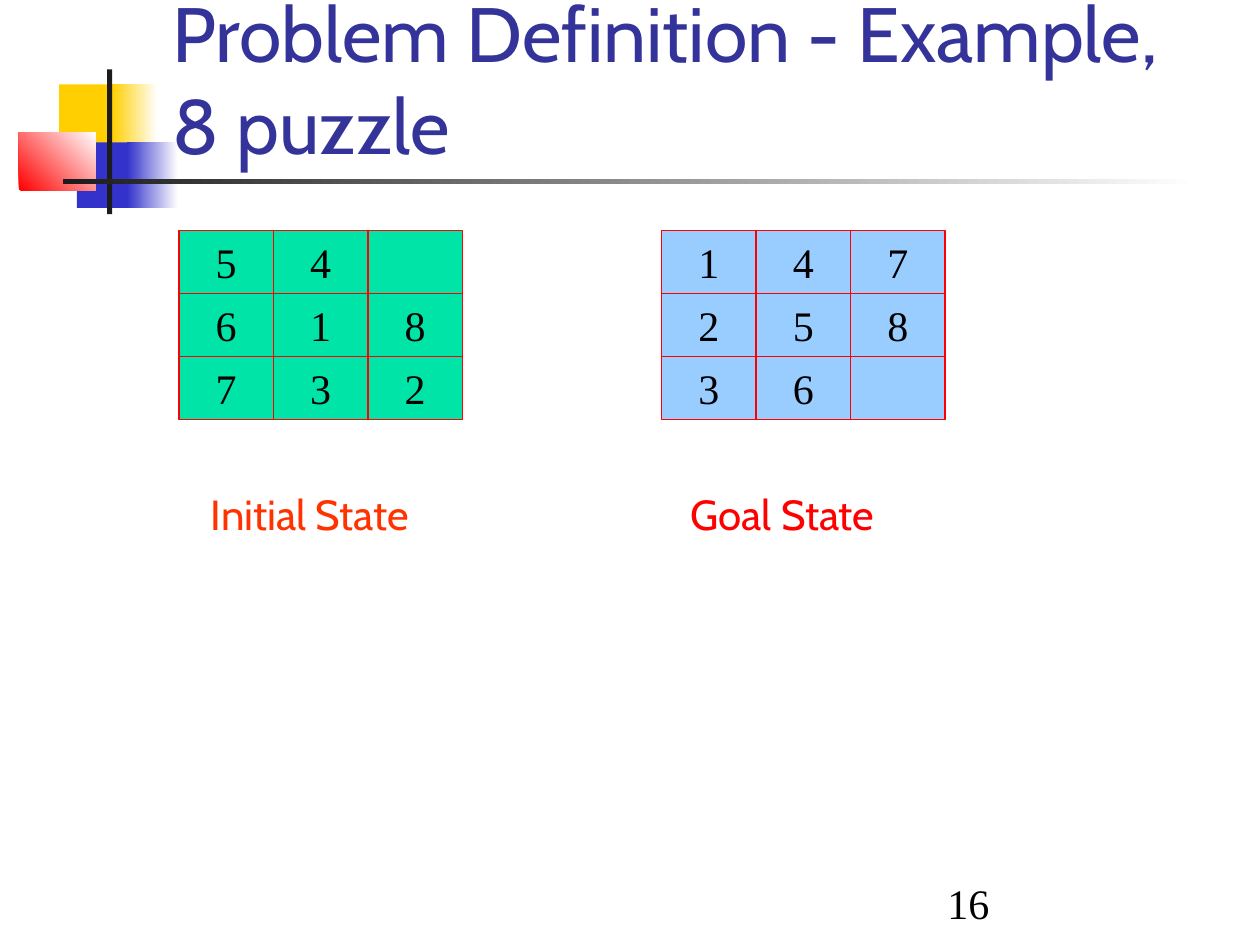
from dataclasses import dataclass
from typing import Optional

from pptx import Presentation
from pptx.dml.color import RGBColor
from pptx.enum import shapes, text
from pptx.util import Inches, Pt

TILE_W, TILE_H = 0.75, 0.5
SERIF, SANS = "Times New Roman", "Cabin"
LEFT, CENTER = text.PP_ALIGN.LEFT, text.PP_ALIGN.CENTER
TOP, BOTTOM = text.MSO_ANCHOR.TOP, text.MSO_ANCHOR.BOTTOM


@dataclass
class Bar:
    left: float
    top: float
    width: float
    height: float
    color: str
    fade_angle: Optional[int] = None  # fades to white in this direction


@dataclass
class Label:
    left: float
    top: float
    width: float
    height: float
    words: str
    size: int
    font: str
    color: str
    align: text.PP_ALIGN = LEFT
    anchor: text.MSO_ANCHOR = TOP


@dataclass
class Puzzle:
    left: float
    top: float
    color: str
    rows: tuple[str, ...]


BARS = [
    Bar(0.47, 0.67, 0.48, 0.52, "FFCF01"),
    Bar(0.89, 0.67, 0.36, 0.52, "FFCF01", 0),
    Bar(0.61, 1.13, 0.46, 0.52, "3333CC"),
    Bar(1.01, 1.13, 0.4, 0.52, "3333CC", 0),
    Bar(0.15, 1.05, 0.61, 0.46, "FF0000", 45),
    Bar(0.85, 0.55, 0.04, 1.15, "1C1C1C"),
    Bar(0.5, 1.42, 9, 0.04, "1C1C1C", 0),
]
PUZZLES = [
    Puzzle(1.42, 1.83, "00E4A8", ("54 ", "618", "732")),
    Puzzle(5.25, 1.83, "99CCFF", ("147", "258", "36 ")),
]
LABELS = [
    Label(1.27, -0.17, 8.52, 1.57, "Problem Definition - Example, 8 puzzle",
          44, SANS, "333399", anchor=BOTTOM),
    Label(1.17, 3.83, 2.58, 0.5, "Initial State", 24, SANS, "FF3300", CENTER),
    Label(4.92, 3.83, 2.58, 0.5, "Goal State", 24, SANS, "FF0000", CENTER),
    Label(7.42, 6.91, 2.08, 0.5, "16", 24, SERIF, "000000", anchor=BOTTOM),
]


def rgb(color: str) -> RGBColor:
    return RGBColor.from_string(color)


def set_text(sp, words: str, size: int, font: str, color: str, align, anchor) -> None:
    tf = sp.text_frame
    tf.text = words
    tf.word_wrap = True
    tf.vertical_anchor = anchor
    p = tf.paragraphs[0]
    p.alignment = align
    for r in p.runs:
        r.font.size = Pt(size)
        r.font.name = font
        r.font.color.rgb = rgb(color)


def add_rect(s, left: float, top: float, width: float, height: float):
    sp = s.shapes.add_shape(shapes.MSO_SHAPE.RECTANGLE, Inches(left), Inches(top),
                            Inches(width), Inches(height))
    sp.shadow.inherit = False
    return sp


def add_bar(s, bar: Bar) -> None:
    sp = add_rect(s, bar.left, bar.top, bar.width, bar.height)
    sp.line.fill.background()
    if bar.fade_angle is None:
        sp.fill.solid()
        sp.fill.fore_color.rgb = rgb(bar.color)
        return
    sp.fill.gradient()
    sp.fill.gradient_angle = bar.fade_angle
    for stop, color in zip(sp.fill.gradient_stops, (bar.color, "FFFFFF")):
        stop.color.rgb = rgb(color)


def add_puzzle(s, puzzle: Puzzle) -> None:
    for i, row in enumerate(puzzle.rows):
        for j, digit in enumerate(row):
            sp = add_rect(s, puzzle.left + j * TILE_W, puzzle.top + i * TILE_H,
                          TILE_W, TILE_H)
            sp.fill.solid()
            sp.fill.fore_color.rgb = rgb(puzzle.color)
            sp.line.color.rgb = rgb("FF0000")
            sp.line.width = Pt(1)
            if digit != " ":
                set_text(sp, digit, 24, SERIF, "000000", CENTER, TOP)


def add_label(s, label: Label) -> None:
    sp = s.shapes.add_textbox(Inches(label.left), Inches(label.top),
                              Inches(label.width), Inches(label.height))
    set_text(sp, label.words, label.size, label.font, label.color,
             label.align, label.anchor)


def main() -> None:
    prs = Presentation()
    prs.slide_width, prs.slide_height = Inches(10), Inches(7.5)
    s = prs.slides.add_slide(prs.slide_layouts[6])

    # Corner decoration and title rule
    for bar in BARS:
        add_bar(s, bar)

    # Initial and goal boards
    for puzzle in PUZZLES:
        add_puzzle(s, puzzle)

    # Title, captions and page number
    for label in LABELS:
        add_label(s, label)

    prs.save("out.pptx")


if __name__ == "__main__":
    main()
